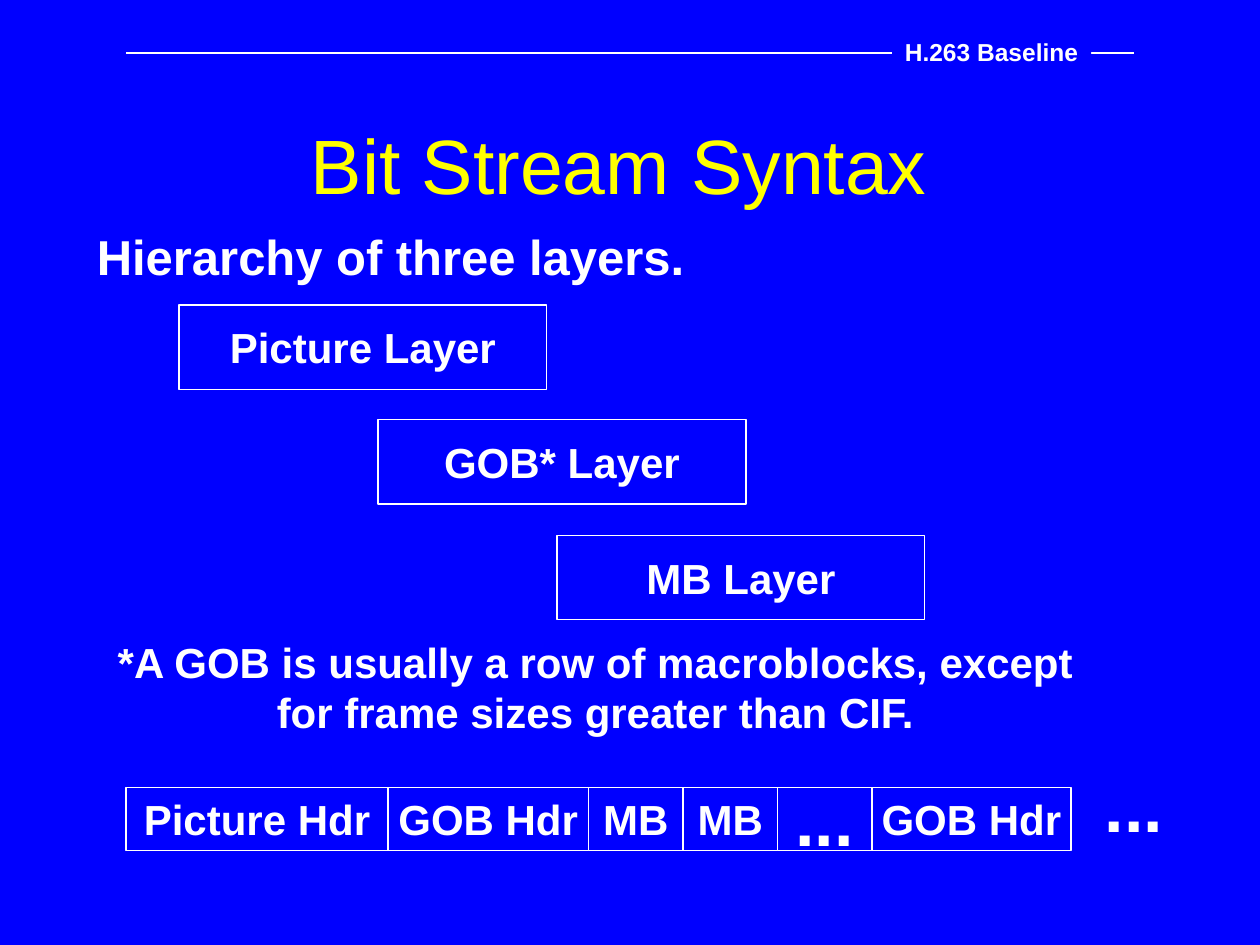
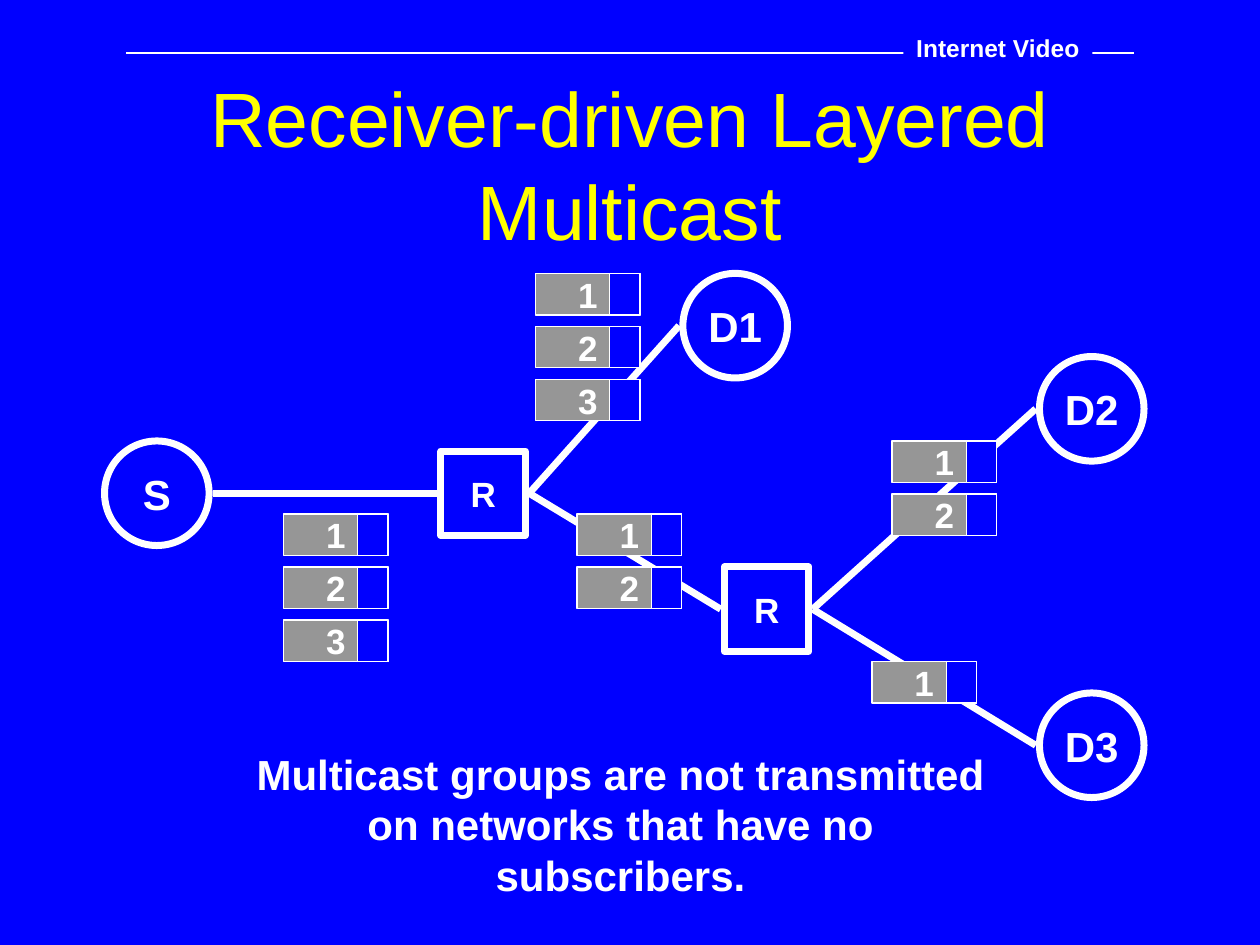
from lxml.etree import SubElement
from pptx import Presentation
from pptx.dml.color import RGBColor
from pptx.enum.shapes import MSO_CONNECTOR, MSO_SHAPE
from pptx.enum.text import MSO_ANCHOR, PP_ALIGN
from pptx.oxml.ns import qn
from pptx.util import Inches, Pt

# Shared style
BLUE = RGBColor(0x00, 0x00, 0xFF)
WHITE = RGBColor(0xFF, 0xFF, 0xFF)
YELLOW = RGBColor(0xFF, 0xFF, 0x00)
GRAY = RGBColor(0x96, 0x96, 0x96)
FONT = "Arial"
THIN, THICK = 0.75, 4
TITLE_BOX = (0.75, 0.67, 8.5, 1.25)

# Bit stream content: (text, left, top)
LAYERS = [
    ("Picture Layer", 1.42, 2.42),
    ("GOB* Layer", 3, 3.33),
    ("MB Layer", 4.42, 4.25),
]
LAYER_SIZE = (2.92, 0.67)
GOB_NOTE = "*A GOB is usually a row of macroblocks, except\nfor frame sizes greater than CIF."
# (text, width, font size), packed left to right
STREAM_FIELDS = [
    ("Picture Hdr", 2.08, 24),
    ("GOB Hdr", 1.59, 24),
    ("MB", 0.75, 24),
    ("MB", 0.75, 24),
    ("...", 0.75, 40),
    ("GOB Hdr", 1.58, 24),
]
STREAM_LEFT, STREAM_TOP, STREAM_HEIGHT = 1, 6.25, 0.5

# Multicast content: name -> (text, left, top)
HOSTS = {
    "source": ("S", 0.83, 3.5),
    "receiver 1": ("D1", 5.42, 2.17),
    "receiver 2": ("D2", 8.25, 2.83),
    "receiver 3": ("D3", 8.25, 5.5),
}
ROUTERS = {
    "router 1": ("R", 3.5, 3.58),
    "router 2": ("R", 5.75, 4.5),
}
HOST_SIZE, ROUTER_SIZE = 0.83, 0.67
LINKS = [
    ("source", "router 1"),
    ("router 1", "receiver 1"),
    ("router 1", "router 2"),
    ("router 2", "receiver 2"),
    ("router 2", "receiver 3"),
]
LINK_GAP = 0.03
# Packet stacks: (left, top, number of layers)
PACKET_STACKS = [
    (2.25, 4.08, 3),
    (4.25, 2.17, 3),
    (4.58, 4.08, 2),
    (7.08, 3.5, 2),
    (6.92, 5.25, 1),
]
PACKET_WIDTH, PACKET_HEIGHT, PACKET_STEP, PACKET_HEADER = 0.83, 0.33, 0.42, 0.24
SUBSCRIBER_NOTE = "Multicast groups are not transmitted\non networks that have no subscribers."


def write(shape, text, size, color=WHITE, bold=True, align=PP_ALIGN.CENTER,
          anchor=MSO_ANCHOR.MIDDLE, wrap=False):
    frame = shape.text_frame
    frame.text = text
    frame.word_wrap = wrap
    frame.vertical_anchor = anchor
    for paragraph in frame.paragraphs:
        paragraph.alignment = align
        for run in paragraph.runs:
            run.font.name = FONT
            run.font.size = Pt(size)
            run.font.bold = bold
            run.font.color.rgb = color


def add_text(slide, box, text, size, **style):
    write(slide.shapes.add_textbox(*map(Inches, box)), text, size, **style)


def add_box(slide, box, text="", size=24, kind=MSO_SHAPE.RECTANGLE, fill=BLUE, line=THIN):
    shape = slide.shapes.add_shape(kind, *map(Inches, box))
    shape.shadow.inherit = False
    shape.fill.solid()
    shape.fill.fore_color.rgb = fill
    if line:
        shape.line.color.rgb = WHITE
        shape.line.width = Pt(line)
    else:
        shape.line.fill.background()
    if text:
        write(shape, text, size)


def add_line(slide, start, end, width):
    line = slide.shapes.add_connector(MSO_CONNECTOR.STRAIGHT, *map(Inches, start + end))
    line.line.color.rgb = WHITE
    line.line.width = Pt(width)
    SubElement(line._element.spPr, qn("a:effectLst"))


def add_slide(presentation, title, section, section_box):
    slide = presentation.slides.add_slide(presentation.slide_layouts[6])
    slide.background.fill.solid()
    slide.background.fill.fore_color.rgb = BLUE
    # Header rule interrupted by the section name
    add_line(slide, (1, 0.42), (9, 0.42), THIN)
    add_box(slide, section_box, section, 14, line=None)
    add_text(slide, TITLE_BOX, title, 44, color=YELLOW, bold=False, wrap=True)
    return slide


def build_bit_stream(presentation):
    slide = add_slide(presentation, "Bit Stream Syntax ", "H.263 Baseline",
                      (7.08, 0.24, 1.58, 0.34))
    add_text(slide, (0.67, 1.75, 8.5, 0.6), "Hierarchy of three layers.", 28,
             align=PP_ALIGN.LEFT, anchor=MSO_ANCHOR.TOP, wrap=True)
    for text, left, top in LAYERS:
        add_box(slide, (left, top, *LAYER_SIZE), text)
    add_text(slide, (0.83, 5, 7.79, 0.9), GOB_NOTE, 24)

    # Stream fields side by side
    left = STREAM_LEFT
    for text, width, size in STREAM_FIELDS:
        add_box(slide, (left, STREAM_TOP, width, STREAM_HEIGHT), text, size)
        left += width
    add_text(slide, (8.67, 6, 0.66, 0.77), "...", 40)


def build_multicast(presentation):
    slide = add_slide(presentation, "Receiver-driven Layered Multicast", "Internet Video",
                      (7.17, 0.21, 1.5, 0.34))

    # Links run from the right side of one node to the left side of the next
    sides = {}
    for nodes, size in ((HOSTS, HOST_SIZE), (ROUTERS, ROUTER_SIZE)):
        for name, (_, left, top) in nodes.items():
            middle = top + size / 2
            sides[name] = ((left - LINK_GAP, middle), (left + size + LINK_GAP, middle))
    for sender, receiver in LINKS:
        add_line(slide, sides[sender][1], sides[receiver][0], THICK)

    # Hosts and routers
    for text, left, top in HOSTS.values():
        add_box(slide, (left, top, HOST_SIZE, HOST_SIZE), text,
                kind=MSO_SHAPE.OVAL, line=THICK)
    for text, left, top in ROUTERS.values():
        add_box(slide, (left, top, ROUTER_SIZE, ROUTER_SIZE), text, 20, line=THICK)

    # Packets, one per layer in each stack
    for left, top, layers in PACKET_STACKS:
        header_left = left + PACKET_WIDTH - PACKET_HEADER
        for index in range(layers):
            packet_top = top + index * PACKET_STEP
            add_box(slide, (left, packet_top, PACKET_WIDTH, PACKET_HEIGHT),
                    str(index + 1), 20, fill=GRAY)
            add_box(slide, (header_left, packet_top, PACKET_HEADER, PACKET_HEIGHT))

    add_text(slide, (1.78, 6.09, 6.29, 0.9), SUBSCRIBER_NOTE, 24)


def main():
    presentation = Presentation()
    presentation.slide_width = Inches(10)
    presentation.slide_height = Inches(7.5)
    build_bit_stream(presentation)
    build_multicast(presentation)
    presentation.save("out.pptx")


if __name__ == "__main__":
    main()
